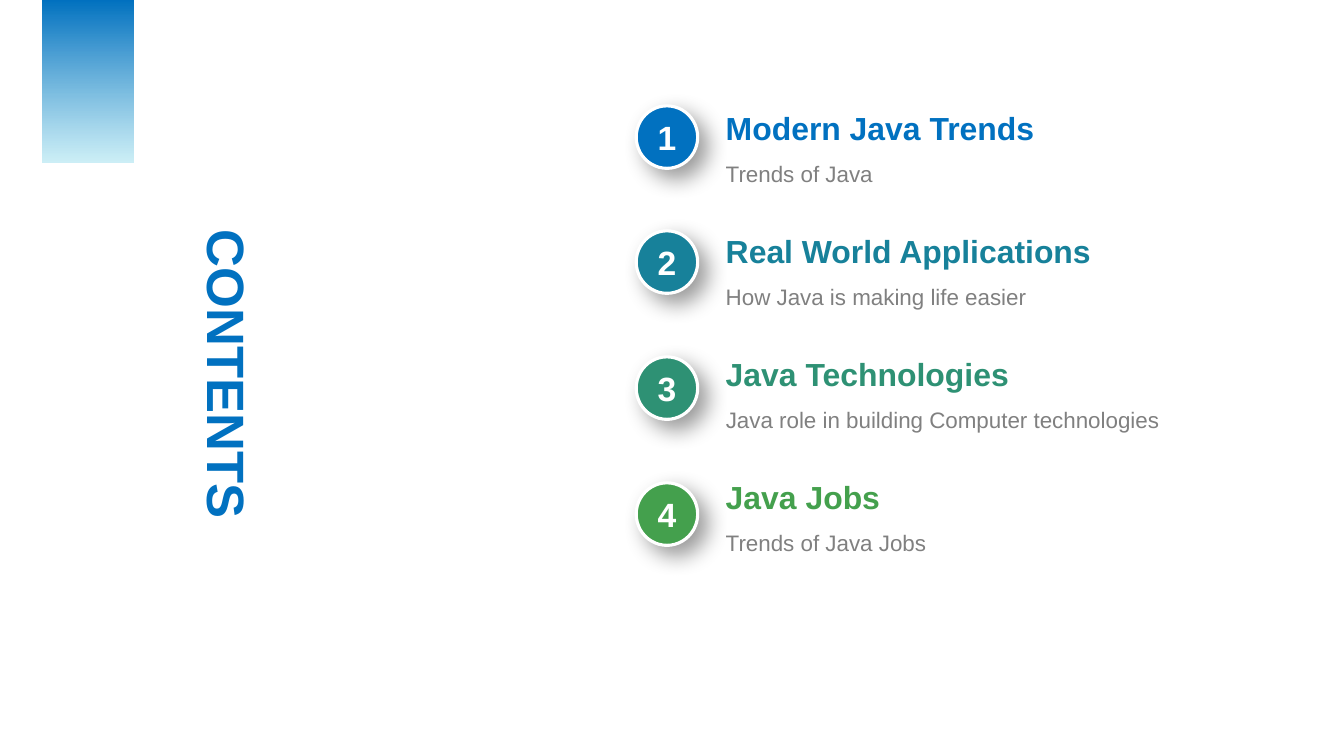
from dataclasses import dataclass

from lxml import etree
from pptx import Presentation
from pptx.dml.color import RGBColor
from pptx.enum.shapes import MSO_SHAPE
from pptx.enum.text import MSO_ANCHOR, PP_ALIGN
from pptx.oxml import parse_xml
from pptx.oxml.ns import nsdecls, qn
from pptx.shapes.autoshape import Shape
from pptx.slide import Slide
from pptx.util import Emu, Pt

EMU_PER_PX = 9144
RECTANGLE, OVAL = MSO_SHAPE.RECTANGLE, MSO_SHAPE.OVAL
TOP, MIDDLE, BOTTOM = MSO_ANCHOR.TOP, MSO_ANCHOR.MIDDLE, MSO_ANCHOR.BOTTOM
LEFT, CENTER = PP_ALIGN.LEFT, PP_ALIGN.CENTER


@dataclass(frozen=True)
class Theme:
    font: str = "Arial"
    blue: str = "0171C0"
    teal: str = "17819A"
    green: str = "2E9174"
    leaf: str = "44A04D"
    pale: str = "C5EDF6"
    gray: str = "808080"
    white: str = "FFFFFF"
    shadow: str = "000000"
    title_size: float = 37.5
    number_size: float = 24
    heading_size: float = 22.8
    detail_size: float = 16


@dataclass(frozen=True)
class Frame:
    left: int
    top: int
    width: int
    height: int

    def emu(self) -> tuple[Emu, Emu, Emu, Emu]:
        return (px(self.left), px(self.top), px(self.width), px(self.height))


@dataclass(frozen=True)
class Topic:
    heading: str
    detail: str
    color: str
    detail_width: int = 387


THEME = Theme()
TOPICS = (
    Topic("Modern Java Trends", "Trends of Java", THEME.blue),
    Topic("Real World Applications", "How Java is making life easier", THEME.teal),
    Topic("Java Technologies", "Java role in building Computer technologies",
          THEME.green, detail_width=458),
    Topic("Java Jobs", "Trends of Java Jobs", THEME.leaf),
)
BADGE_TOP, BADGE_SPAN = 105, 374
TEXT_TOP, TEXT_STEP = 105, 122


def px(length: int) -> Emu:
    return Emu(length * EMU_PER_PX)


def rgb(color: str) -> RGBColor:
    return RGBColor.from_string(color)


def write(shape: Shape, text: str, *, size: float, color: str, bold: bool = False,
          align: PP_ALIGN = LEFT, anchor: MSO_ANCHOR = TOP,
          inset_top: int = 5, inset_bottom: int = 5) -> None:
    frame = shape.text_frame
    frame.word_wrap = True
    frame.vertical_anchor = anchor
    frame.margin_left = frame.margin_right = px(10)
    frame.margin_top, frame.margin_bottom = px(inset_top), px(inset_bottom)
    para = frame.paragraphs[0]
    para.alignment = align
    span = para.add_run()
    span.text = text
    span.font.name = THEME.font
    span.font.size = Pt(size)
    span.font.bold = bold
    span.font.color.rgb = rgb(color)


def add_panel(page: Slide, frame: Frame) -> Shape:
    """Add an unfilled, unlined rectangular outline that can hold text."""
    right, bottom = frame.left + frame.width, frame.top + frame.height
    outline = page.shapes.build_freeform(frame.left, frame.top, scale=EMU_PER_PX)
    outline.add_line_segments(
        [(right, frame.top), (right, bottom), (frame.left, bottom)], close=True)
    panel = outline.convert_to_shape()
    panel.shadow.inherit = False
    panel.fill.background()
    panel.line.fill.background()
    return panel


def add_ribbon(page: Slide) -> None:
    """Draw the bar at the top edge, fading from blue to a pale tint."""
    ribbon = page.shapes.add_shape(RECTANGLE, *Frame(42, 0, 90, 161).emu())
    ribbon.shadow.inherit = False
    ribbon.line.fill.background()
    ribbon.fill.gradient()
    ribbon.fill.gradient_angle = 270
    for stop, color in zip(ribbon.fill.gradient_stops, (THEME.blue, THEME.pale)):
        stop.color.rgb = rgb(color)
    pale_color = ribbon.element.xpath(".//a:gs/a:srgbClr")[-1]
    etree.SubElement(pale_color, qn("a:alpha"), val="86000")


def add_soft_shadow(shape: Shape) -> None:
    shape.shadow.inherit = False
    effects = shape.element.spPr.find(qn("a:effectLst"))
    effects.append(parse_xml(
        f'<a:outerShdw {nsdecls("a")} blurRad="{Pt(16)}" dist="{Pt(9)}" '
        f'dir="2700000" algn="tl" rotWithShape="0"><a:srgbClr val="{THEME.shadow}">'
        '<a:alpha val="40000"/></a:srgbClr></a:outerShdw>'))


def add_badge(page: Slide, number: int, top: int, color: str) -> None:
    badge = page.shapes.add_shape(OVAL, *Frame(631, top, 61, 62).emu())
    badge.fill.solid()
    badge.fill.fore_color.rgb = rgb(color)
    badge.line.color.rgb = rgb(THEME.white)
    badge.line.width = Pt(2.25)
    add_soft_shadow(badge)
    write(badge, str(number), size=THEME.number_size, color=THEME.white,
          bold=True, align=CENTER, anchor=MIDDLE)


def add_topic(page: Slide, index: int, topic: Topic) -> None:
    badge_top = BADGE_TOP + index * BADGE_SPAN // (len(TOPICS) - 1)
    add_badge(page, index + 1, badge_top, topic.color)
    top = TEXT_TOP + index * TEXT_STEP
    heading = add_panel(page, Frame(710, top, 387, 41))
    write(heading, topic.heading, size=THEME.heading_size, color=topic.color,
          bold=True, anchor=BOTTOM, inset_bottom=0)
    detail = add_panel(page, Frame(710, top + 44, topic.detail_width, 51))
    write(detail, topic.detail, size=THEME.detail_size, color=THEME.gray,
          anchor=MIDDLE, inset_top=0)


def main() -> None:
    deck = Presentation()
    deck.slide_width, deck.slide_height = px(1333), px(750)
    page = deck.slides.add_slide(deck.slide_layouts[6])
    add_ribbon(page)
    for index, topic in enumerate(TOPICS):
        add_topic(page, index, topic)
    title = page.shapes.add_textbox(*Frame(57, 336, 342, 70).emu())
    title.rotation = 90
    write(title, "CONTENTS", size=THEME.title_size, color=THEME.blue,
          bold=True, align=CENTER)
    deck.save("out.pptx")


if __name__ == "__main__":
    main()
